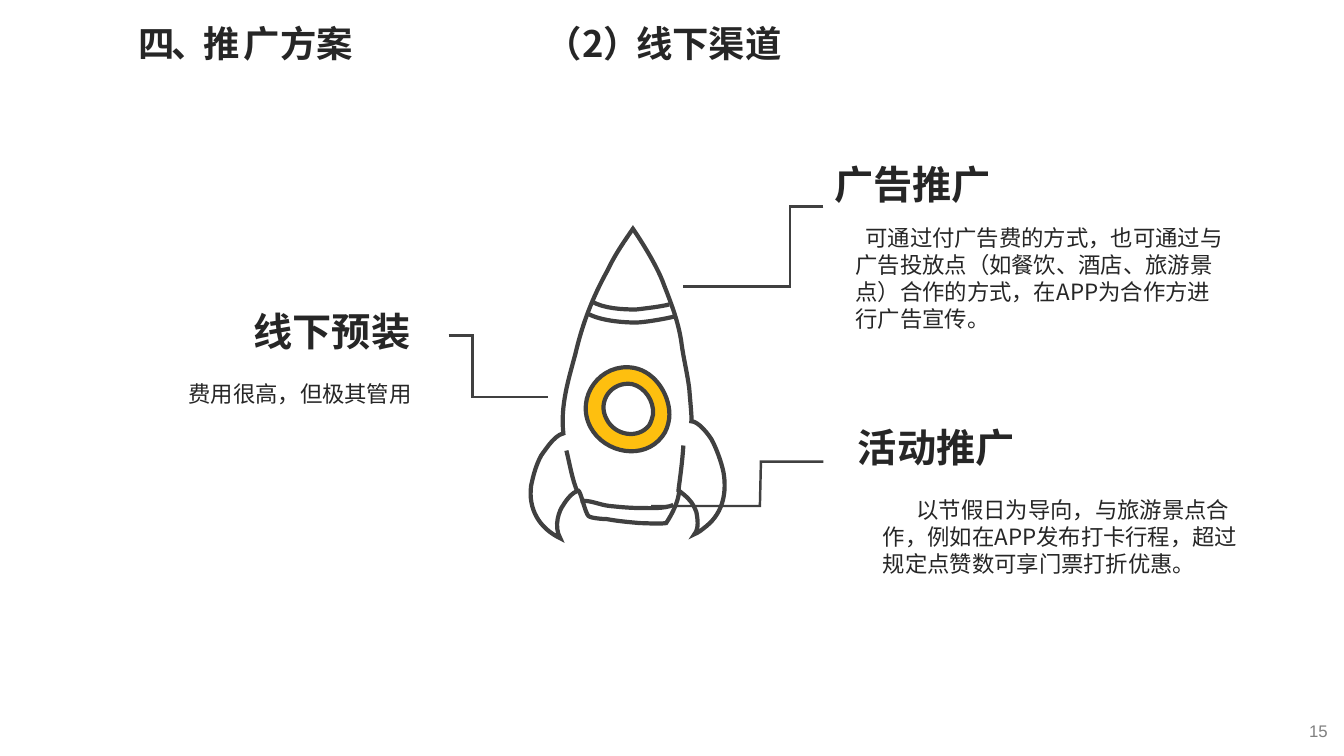
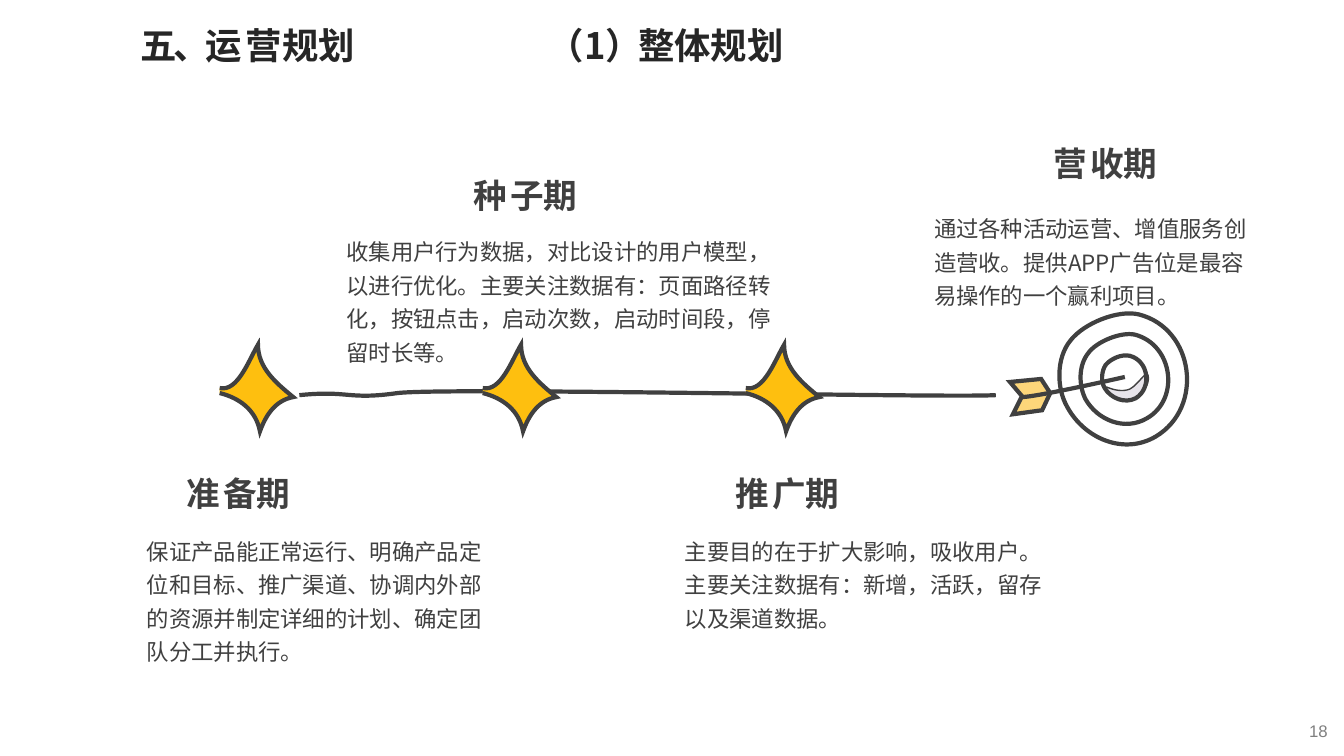
from dataclasses import dataclass
from itertools import cycle
from math import cos, radians, sin

from lxml import etree
from pptx import Presentation
from pptx.dml.color import RGBColor
from pptx.enum.lang import MSO_LANGUAGE_ID
from pptx.enum.text import MSO_AUTO_SIZE, PP_ALIGN
from pptx.oxml.ns import qn
from pptx.util import Cm, Pt

LEFT, MID, RIGHT = PP_ALIGN.LEFT, PP_ALIGN.CENTER, PP_ALIGN.RIGHT
GROW = MSO_AUTO_SIZE.SHAPE_TO_FIT_TEXT
TONGUES = (MSO_LANGUAGE_ID.SIMPLIFIED_CHINESE, MSO_LANGUAGE_ID.ENGLISH_US)
GRID = Cm(0.0254)  # unit of all sketch points
STEPS = 24  # samples per curve when its bounds are measured
TILT, LEAN, SWAY = 328.2, 34.8, 105  # turns of rocket, target and track


@dataclass(frozen=True)
class Theme:
    font: str = "Noto Sans CJK SC"
    plain: str = "Arial"
    dark: str = "262626"
    ink: str = "404040"
    grey: str = "808080"
    gold: str = "FEBF0F"
    pale: str = "FDD67A"
    mist: str = "E7E4EA"
    white: str = "FFFFFF"
    title: int = 26
    head: int = 28
    stage: int = 24
    body: int = 16
    page: int = 12


T = Theme()

# Sketches: a start point, then three points for each curve
RING = (664, 415, 666, 394, 651, 369, 629, 365, 596, 359, 570, 394, 586, 424,
        600, 450, 639, 457, 657, 433, 661, 428, 663, 422, 664, 415)
PANE = (648, 411, 649, 398, 640, 384, 627, 381, 607, 378, 592, 398, 602, 416,
        610, 432, 633, 436, 644, 422, 646, 419, 647, 415, 648, 411)
HULL = (545, 441, 549, 436, 554, 431, 559, 430, 556, 402, 564, 377, 571, 351,
        578, 321, 588, 295, 603, 268, 610, 253, 619, 240, 628, 227,
        628, 227, 651, 260, 659, 283, 666, 301, 673, 319, 676, 339,
        678, 355, 682, 370, 684, 386, 684, 388, 687, 418, 686, 418,
        693, 418, 703, 431, 706, 436, 711, 445, 716, 459, 718, 469,
        721, 488, 718, 508, 701, 522, 697, 525, 694, 528, 689, 530,
        694, 524, 692, 514, 691, 508, 689, 503, 687, 499, 684, 496,
        683, 494, 674, 487, 674, 487, 673, 498, 667, 510, 661, 519,
        654, 520, 640, 519, 635, 519, 624, 518, 613, 517, 602, 515,
        598, 515, 586, 514, 584, 512, 581, 510, 576, 487, 574, 487,
        568, 488, 562, 496, 559, 501, 555, 506, 549, 522, 556, 534,
        535, 524, 524, 505, 527, 482, 529, 472, 532, 461, 537, 452,
        539, 449, 542, 445, 545, 441)
SEAMS = (
    (587, 299, 599, 306, 617, 307, 631, 307, 640, 306, 657, 304, 664, 302),
    (583, 311, 595, 318, 617, 320, 631, 320, 639, 320, 662, 316, 669, 314),
    (573, 488, 568, 477, 565, 459, 562, 447),
    (673, 488, 675, 472, 677, 459, 678, 442),
    (576, 497, 586, 496, 595, 501, 605, 502, 615, 503, 625, 504, 635, 504,
     646, 504, 658, 505, 668, 501),
)
STAR = (218, 385, 236, 389, 247, 357, 256, 342, 256, 365, 274, 380, 291, 394,
        274, 397, 264, 411, 258, 428, 254, 407, 238, 395, 218, 390)
TRACK = (297, 392, 347, 387, 344, 397, 394, 390, 440, 384, 943, 395, 988, 392)
SHADE = (1097, 385, 1097, 390, 1106, 395, 1109, 397, 1115, 399, 1122, 398,
         1127, 395, 1134, 391, 1143, 378, 1138, 370, 1132, 375, 1128, 382,
         1121, 386, 1114, 389, 1105, 387, 1098, 384, 1097, 385, 1097, 385,
         1097, 385)
HOOPS = (
    (1059, 404, 1076, 435, 1115, 452, 1147, 433, 1195, 404, 1185, 326,
     1130, 312, 1109, 307, 1075, 321, 1062, 338, 1048, 355, 1048, 385,
     1059, 404),
    (1077, 396, 1089, 417, 1116, 428, 1138, 415, 1171, 396, 1164, 342,
     1126, 332, 1112, 329, 1088, 339, 1080, 350, 1070, 362, 1070, 382,
     1077, 396),
    (1096, 385, 1102, 395, 1116, 401, 1127, 395, 1143, 385, 1140, 358,
     1121, 353, 1113, 351, 1102, 356, 1097, 362, 1093, 368, 1092, 378,
     1096, 385),
)
SHAFT = (1116, 374, 1116, 374, 1033, 393, 1014, 394)
# Straight outlines: arrow feathers, lines from the rocket to its labels
VANE = (1014, 393, 1002, 379, 1033, 376, 1042, 390, 1034, 407, 1005, 411,
        1014, 393)
LEADS = (
    (817, 205, 784, 205, 784, 284, 678, 284),
    (445, 333, 469, 333, 469, 394, 544, 394),
    (817, 458, 755, 458, 754, 502, 646, 502),
)


def rgb(code):
    return RGBColor.from_string(code)


def text(slide, words, left, top, width, height, size=T.body, color=T.dark,
         font=T.font, bold=False, align=LEFT, lead=None, tight=None,
         indent=None, wrap=True):
    """Write one paragraph; each piece of words becomes a run."""
    box = slide.shapes.add_textbox(Cm(left), Cm(top), Cm(width), Cm(height))
    frame = box.text_frame
    frame.word_wrap = wrap
    frame.auto_size = GROW
    para = frame.paragraphs[0]
    para.alignment = align
    if lead:
        para.line_spacing = lead
    if indent:
        props = para._p.get_or_add_pPr()
        props.set("marL", "0")
        props.set("indent", str(Cm(indent)))
    for piece, tongue in zip(words, cycle(TONGUES)):
        run = para.add_run()
        run.text = piece
        run.font.language_id = tongue
        run.font.size = Pt(size)
        run.font.bold = bold
        run.font.color.rgb = rgb(color)
        run.font.name = font
        props = run._r.get_or_add_rPr()
        etree.SubElement(props, qn("a:ea")).set("typeface", font)
        if tight:
            props.set("spc", str(tight * 100))


def spin(point, angle):
    x, y = point
    a = radians(angle)
    return x * cos(a) - y * sin(a), x * sin(a) + y * cos(a)


def trace(points):
    """Sample a chain of cubic curves."""
    for i in range(0, len(points) - 1, 3):
        for step in range(STEPS + 1):
            t = step / STEPS
            parts = ((1 - t) ** 3, 3 * t * (1 - t) ** 2,
                     3 * t * t * (1 - t), t ** 3)
            yield tuple(sum(p * c for p, c in zip(parts, axis))
                        for axis in zip(*points[i:i + 4]))


def curve(shape, points, box):
    """Give a freeform cubic curves inside its box."""
    left, top, right, low = box
    shape.left, shape.top = round(left), round(top)
    shape.width, shape.height = round(right - left), round(low - top)
    route = shape.element.find(".//" + qn("a:path"))
    route.set("w", str(shape.width))
    route.set("h", str(shape.height))
    for i, line in enumerate(route.findall(qn("a:lnTo"))):
        bow = etree.Element(qn("a:cubicBezTo"))
        for x, y in points[3 * i + 1:3 * i + 4]:
            spot = etree.SubElement(bow, qn("a:pt"))
            spot.set("x", str(round(x - left)))
            spot.set("y", str(round(y - top)))
        route.replace(line, bow)
    spot = route.find(qn("a:moveTo")).find(qn("a:pt"))
    spot.set("x", str(round(points[0][0] - left)))
    spot.set("y", str(round(points[0][1] - top)))


def sketch(slide, flat, fill=None, width=3, shift=0, turn=0, curved=True):
    raw = [((x + shift) * GRID, y * GRID)
           for x, y in zip(flat[::2], flat[1::2])]
    points = [spin(p, -turn) for p in raw]
    xs, ys = zip(*(trace(points) if curved else points))
    # Move the level outline so that its turn brings it back in place
    hub = (min(xs) + max(xs)) / 2, (min(ys) + max(ys)) / 2
    dx, dy = (new - old for new, old in zip(spin(hub, turn), hub))
    points = [(x + dx, y + dy) for x, y in points]
    box = min(xs) + dx, min(ys) + dy, max(xs) + dx, max(ys) + dy
    knots = points[::3] if curved else points
    pen = slide.shapes.build_freeform(*knots[0])
    pen.add_line_segments(knots[1:], close=raw[0] == raw[-1])
    shape = pen.convert_to_shape()
    if curved:
        curve(shape, points, box)
    shape.rotation = turn
    shape.shadow.inherit = False
    if fill:
        shape.fill.solid()
        shape.fill.fore_color.rgb = rgb(fill)
    else:
        shape.fill.background()
    shape.line.color.rgb = rgb(T.ink)
    shape.line.width = Pt(width)
    line = shape.element.spPr.find(qn("a:ln"))
    etree.SubElement(line, qn("a:miter")).set("lim", "800000")


def start(deck, title, topic, page, left, top):
    """Add a slide with the shared title pair and page number."""
    slide = deck.slides.add_slide(deck.slide_layouts[6])
    for words, edge in ((title, left), ([topic], left + 10.26)):
        text(slide, words, edge, top, 7.1, 1.37, size=T.title, bold=True,
             tight=-3)
    text(slide, [page], 25.45, 17.93, 8.26, 0.86, size=T.page, color=T.grey,
         font=T.plain, align=RIGHT, lead=1.2)
    return slide


def rocket(slide):
    sketch(slide, RING, fill=T.gold, turn=TILT)
    sketch(slide, PANE, fill=T.white, turn=TILT)
    for line in (HULL, *SEAMS):
        sketch(slide, line, turn=TILT)


def target(slide):
    sketch(slide, SHADE, fill=T.mist, width=1, turn=LEAN)
    for hoop in HOOPS:
        sketch(slide, hoop, turn=LEAN)
    sketch(slide, VANE, fill=T.pale, turn=LEAN, curved=False)
    sketch(slide, SHAFT, turn=LEAN)


def offline(deck):
    slide = start(deck, ("四、推 ", "广 方 案"), "（2）线 下 渠 道", "15",
                  3.25, 0.41)
    for lead in LEADS:
        sketch(slide, lead, width=1.75, curved=False)
    rocket(slide)
    # Labels
    for words, left, top, align in (("广告推广", 20.76, 3.91, MID),
                                    ("线下预装", 6.12, 7.63, RIGHT),
                                    ("活动推广", 21.36, 10.54, MID)):
        text(slide, [words], left, top, 4.47, 1.45, size=T.head, bold=True,
             align=align, wrap=False)
    # Details
    text(slide, ["可通过付广告费的方式，也可通过与广告投放点（如餐饮、酒店、旅游景点）"
                 "合作的方式，在APP为合作方进行广告宣传。"],
         21.31, 5.53, 9.83, 3, indent=0.25)
    text(slide, ["费用很高，但极其管用"], 4.5, 9.28, 6.45, 1.12, lead=1.25)
    text(slide, ["以节假日为导向，与旅游景点合作，例如在APP发布打卡行程，"
                 "超过规定点赞数可享门票打折优惠。"],
         22, 12.38, 9.45, 2.31, indent=0.85)


def plan(deck):
    slide = start(deck, ("五、运 ", "营 规 划"), "（1）整 体 规 划", "18",
                  3.3, 0.46)
    # Timeline
    sketch(slide, TRACK, turn=SWAY)
    target(slide)
    for i in range(3):
        sketch(slide, STAR, fill=T.gold, shift=261 * i)
    # Stages: name and its place, then detail and its box
    stages = (
        (("准 ", "备 期"), 3.92, 11.79,
         "保证产品能正常运行、明确产品定位和目标、推广渠道、协调内外部的资源并"
         "制定详细的计划、确定团队分工并执行。", (3.45, 13.26, 9.3, 3.68)),
        (("种 ", "子 期"), 11.15, 4.29,
         "收集用户行为数据，对比设计的用户模型，以进行优化。主要关注数据有："
         "页面路径转化，按钮点击，启动次数，启动时间段，停留时长等。",
         (8.48, 5.71, 11.56, 3.68)),
        (("推 ", "广 期"), 17.75, 11.79,
         "主要目的在于扩大影响，吸收用户。主要关注数据有：新增，活跃，留存"
         "以及渠道数据。", (17.01, 13.26, 9.63, 2.82)),
        (("营 ", "收 期"), 25.76, 3.48,
         "通过各种活动运营、增值服务创造营收。提供APP广告位是最容易操作的"
         "一个赢利项目。", (23.29, 5.13, 8.76, 2.82)),
    )
    for name, left, top, detail, box in stages:
        text(slide, name, left, top, 4.19, 1.27, size=T.stage, color=T.ink,
             bold=True, align=MID, tight=-3)
        text(slide, [detail], *box, color=T.ink, lead=1.25)


def main():
    deck = Presentation()
    deck.slide_width, deck.slide_height = Cm(33.87), Cm(19.05)
    offline(deck)
    plan(deck)
    deck.save("out.pptx")


main()
